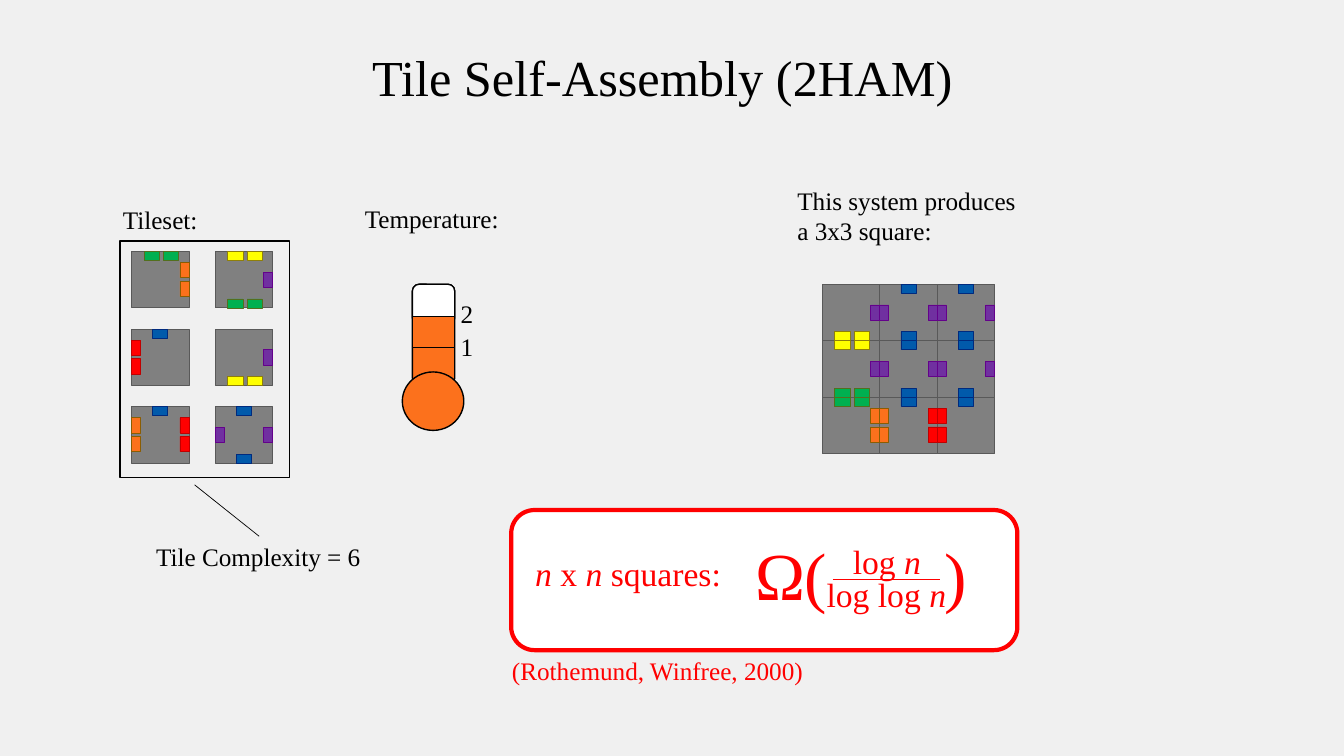
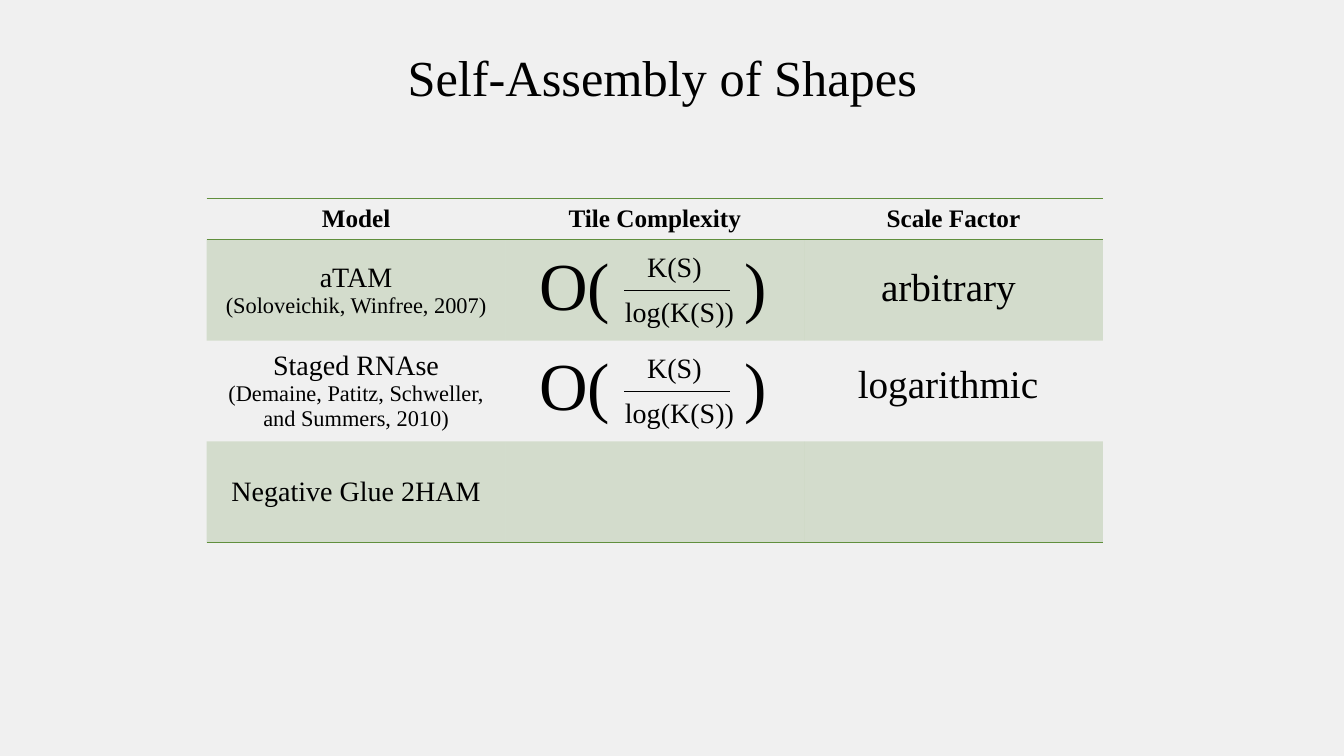
from lxml.etree import SubElement
from pptx import Presentation
from pptx.dml.color import RGBColor
from pptx.enum.shapes import MSO_CONNECTOR as Connector, MSO_SHAPE as Preset
from pptx.enum.text import MSO_ANCHOR as Anchor, PP_ALIGN as Align
from pptx.oxml.ns import qn
from pptx.util import Inches, Pt

FONT = "Times New Roman"
COLUMNS, ROWS = 133.3, 75
BLACK, WHITE, PAPER, RED = "000000", "FFFFFF", "F0F0F0", "FF0000"
ORANGE, GREEN = "FC711C", "608F3D"
TILE_FILL, TILE_EDGE = "808080", "595959"
TILE_WIDTH, TILE_HEIGHT = 5.7, 5.6
GLUE_DEPTH, GLUE_LENGTH = 0.9, 1.5
GLUES = {
    "green": ("00B050", "536F1D", True),
    "orange": (ORANGE, "8A5D02", True),
    "yellow": ("FFFF00", "8F7F08", True),
    "red": (RED, "C00000", True),
    "blue": ("015AAB", "002A7E", False),
    "purple": ("7030A0", "64018B", False),
}
CORNER = {"top": "green", "right": "orange"}
LEFT_EDGE = {"top": "yellow", "right": "purple", "bottom": "green"}
LEFT_END = {"right": "purple", "bottom": "yellow"}
BASE = {"left": "orange", "top": "blue", "right": "red"}
BASE_END = {"top": "blue", "left": "red"}
FILLER = {"top": "blue", "right": "purple", "bottom": "blue", "left": "purple"}


def color(value):
    return RGBColor.from_string(value)


class Deck:
    """Holds the shared style and the current page, measured in grid columns and rows."""

    def __init__(self):
        self.deck = Presentation()
        self.deck.slide_width, self.deck.slide_height = Inches(13.33), Inches(7.5)
        self.column = self.deck.slide_width / COLUMNS
        self.row = self.deck.slide_height / ROWS
        self.page = None

    def across(self, columns):
        return round(columns * self.column)

    def down(self, rows):
        return round(rows * self.row)

    def frame(self, left, top, width, height):
        return self.across(left), self.down(top), self.across(width), self.down(height)

    def add_page(self, title):
        self.page = self.deck.slides.add_slide(self.deck.slide_layouts[6])
        self.page.background.fill.solid()
        self.page.background.fill.fore_color.rgb = color(PAPER)
        self.text(title, 30.7, 4.1, 70, 7.1, size=36, align=Align.CENTER)

    def fill_para(self, para, text, size, ink=BLACK, bold=False, align=Align.LEFT):
        para.alignment = align
        for index, part in enumerate(text.split("_")):
            if part:
                span = para.add_run()
                span.text = part
                font = span.font
                font.name, font.size, font.bold = FONT, Pt(size), bold
                font.italic = index % 2 == 1
                font.color.rgb = color(ink)

    def text(self, text, left, top, width, height=4, size=18, ink=BLACK, align=Align.LEFT):
        box = self.page.shapes.add_textbox(*self.frame(left, top, width, height))
        frame = box.text_frame
        frame.word_wrap = True
        for index, line in enumerate(text.split("\n")):
            para = frame.add_paragraph() if index else frame.paragraphs[0]
            self.fill_para(para, line, size, ink, align=align)

    def shape(self, preset, left, top, width, height, fill=None, edge=BLACK, weight=1, group=None):
        shapes = (group or self.page).shapes
        shape = shapes.add_shape(preset, *self.frame(left, top, width, height))
        shape.shadow.inherit = False
        if fill:
            shape.fill.solid()
            shape.fill.fore_color.rgb = color(fill)
        else:
            shape.fill.background()
        shape.line.color.rgb = color(edge)
        shape.line.width = Pt(weight)

    def line(self, left, top, right, bottom, ink=BLACK):
        line = self.page.shapes.add_connector(
            Connector.STRAIGHT, self.across(left), self.down(top), self.across(right), self.down(bottom))
        line.line.color.rgb = color(ink)
        line.line.width = Pt(0.5)
        SubElement(line._element.spPr, qn("a:effectLst"))

    def tile(self, left, top, sides):
        group = self.page.shapes.add_group_shape()
        self.shape(Preset.RECTANGLE, left, top, TILE_WIDTH, TILE_HEIGHT, TILE_FILL, TILE_EDGE, 0.5, group)
        for side, glue in sides.items():
            fill, edge, paired = GLUES[glue]
            if side in ("left", "right"):
                x = left if side == "left" else left + TILE_WIDTH - GLUE_DEPTH
                places = [(x, top + shift) for shift in ((1.1, 2.95) if paired else (2.05,))]
                size = GLUE_DEPTH, GLUE_LENGTH
            else:
                y = top if side == "top" else top + TILE_HEIGHT - GLUE_DEPTH
                places = [(left + shift, y) for shift in ((1.25, 3.15) if paired else (2.1,))]
                size = GLUE_LENGTH, GLUE_DEPTH
            for place in places:
                self.shape(Preset.RECTANGLE, *place, *size, fill, edge, 0.5, group)

    def tiles(self, left, top, step_x, step_y, layout):
        for row, kinds in enumerate(layout):
            for column, sides in enumerate(kinds):
                self.tile(left + column * step_x, top + row * step_y, sides)

    def fraction_bound(self, top):
        self.text("log(K(S))", 61, top + 5.1, 17.9, 4.4, 20)
        self.line(61.9, top + 5.2, 72.4, top + 5.2)
        self.text("K(S)", 63.2, top + 0.7, 12.2, 4.4, 20)
        self.text("O(", 52.5, top, 10, 9.1, 48)
        self.text(")", 72.9, top, 5, 9.1, 48)

    def border(self, cell, edges):
        properties = cell._tc.get_or_add_tcPr()
        for index, edge in enumerate(("L", "R", "T", "B")):
            line = properties.makeelement(qn("a:ln" + edge), {"w": str(Pt(1))})
            properties.insert(index, line)
            if edge in edges:
                fill = SubElement(line, qn("a:solidFill"))
                SubElement(fill, qn("a:srgbClr"), val=GREEN)
            else:
                SubElement(line, qn("a:noFill"))

    def shade(self, cell, shaded):
        if not shaded:
            cell.fill.background()
            return
        cell.fill.solid()
        cell.fill.fore_color.rgb = color(GREEN)
        tint = cell._tc.tcPr.find(".//" + qn("a:srgbClr"))
        SubElement(tint, qn("a:alpha"), val="20000")

    def table(self, left, top, width, heights, contents):
        columns = len(contents[0])
        holder = self.page.shapes.add_table(
            len(contents), columns, *self.frame(left, top, width, sum(heights)))
        table = holder.table
        table.horz_banding = False
        for row, texts in enumerate(contents):
            table.rows[row].height = self.down(heights[row])
            edges = {0: "TB", 1: "T", len(contents) - 1: "B"}.get(row, "")
            for column, text in enumerate(texts):
                cell = table.cell(row, column)
                cell.vertical_anchor = Anchor.MIDDLE
                self.shade(cell, row % 2 == 1)
                self.border(cell, edges)
                for index, line in enumerate(text.split("\n")):
                    frame = cell.text_frame
                    para = frame.add_paragraph() if index else frame.paragraphs[0]
                    size = 18 if row == 0 else 16 if index else 20
                    self.fill_para(para, line, size, bold=row == 0, align=Align.CENTER)


def assembly_page(deck):
    deck.add_page("Tile Self-Assembly (2HAM)")

    deck.text("Temperature:", 35.2, 19.7, 18)
    deck.shape(Preset.ROUNDED_RECTANGLE, 40.9, 28.2, 4.2, 10, ORANGE)
    deck.shape(Preset.OVAL, 39.9, 36.9, 6.1, 5.8, ORANGE)
    deck.shape(Preset.ROUNDED_RECTANGLE, 40.9, 28.2, 4.2, 4, WHITE)
    deck.shape(Preset.RECTANGLE, 40.9, 31.4, 4.2, 3.1, ORANGE)
    for index, degree in enumerate("21"):
        deck.text(degree, 44.7, 29.1 + 3.3 * index, 4)

    deck.text("Tileset:", 11.2, 19.8, 12)
    deck.shape(Preset.RECTANGLE, 11.9, 23.9, 16.8, 23.5)
    deck.tiles(13.05, 24.95, 8.3, 7.7, [(CORNER, LEFT_EDGE), (BASE_END, LEFT_END), (BASE, FILLER)])
    deck.text("Tile Complexity = 6", 14.5, 53.2, 25)
    deck.line(19.3, 48.1, 25.7, 53.2)

    deck.text("This system produces\na 3x3 square:", 78.1, 17.9, 27, 7.1)
    deck.tiles(81.55, 28.2, TILE_WIDTH, TILE_HEIGHT, [
        (LEFT_END, FILLER, FILLER), (LEFT_EDGE, FILLER, FILLER), (CORNER, BASE, BASE_END)])

    deck.shape(Preset.ROUNDED_RECTANGLE, 50.7, 50.6, 50.2, 13.9, WHITE, RED, 3)
    deck.text("_n _x _n _squares:", 52.1, 54.4, 22, 5, 24, RED)
    deck.text("Ω(", 73.9, 52.4, 11, 9.1, 48, RED)
    deck.text(")", 92.7, 52.4, 5, 9.1, 48, RED)
    deck.line(82.6, 57.5, 93.2, 57.5, RED)
    deck.text("log _n", 83.6, 53.2, 11, 5, 24, RED)
    deck.text("log log _n", 81, 56.4, 16, 5, 24, RED)
    deck.text("(Rothemund, Winfree, 2000)", 49.8, 64.5, 33, ink=RED)


def shapes_page(deck):
    deck.add_page("Self-Assembly of Shapes")
    deck.table(20.5, 19.7, 88.9, (4.1, 10, 10, 10), [
        ("Model", "Tile Complexity", "Scale Factor"),
        ("aTAM\n(Soloveichik, Winfree, 2007)", "", ""),
        ("Staged RNAse\n(Demaine, Patitz, Schweller, and Summers, 2010)", "", ""),
        ("Negative Glue 2HAM", "", ""),
    ])
    for index, (scale, left) in enumerate((("arbitrary", 86.4), ("logarithmic", 84.1))):
        deck.fraction_bound(23.6 + 10 * index)
        deck.text(scale, left, 25.5 + 9.7 * index, 23, 5.7, 28)


def main():
    show = Deck()
    assembly_page(show)
    shapes_page(show)
    show.deck.save("out.pptx")


if __name__ == "__main__":
    main()
